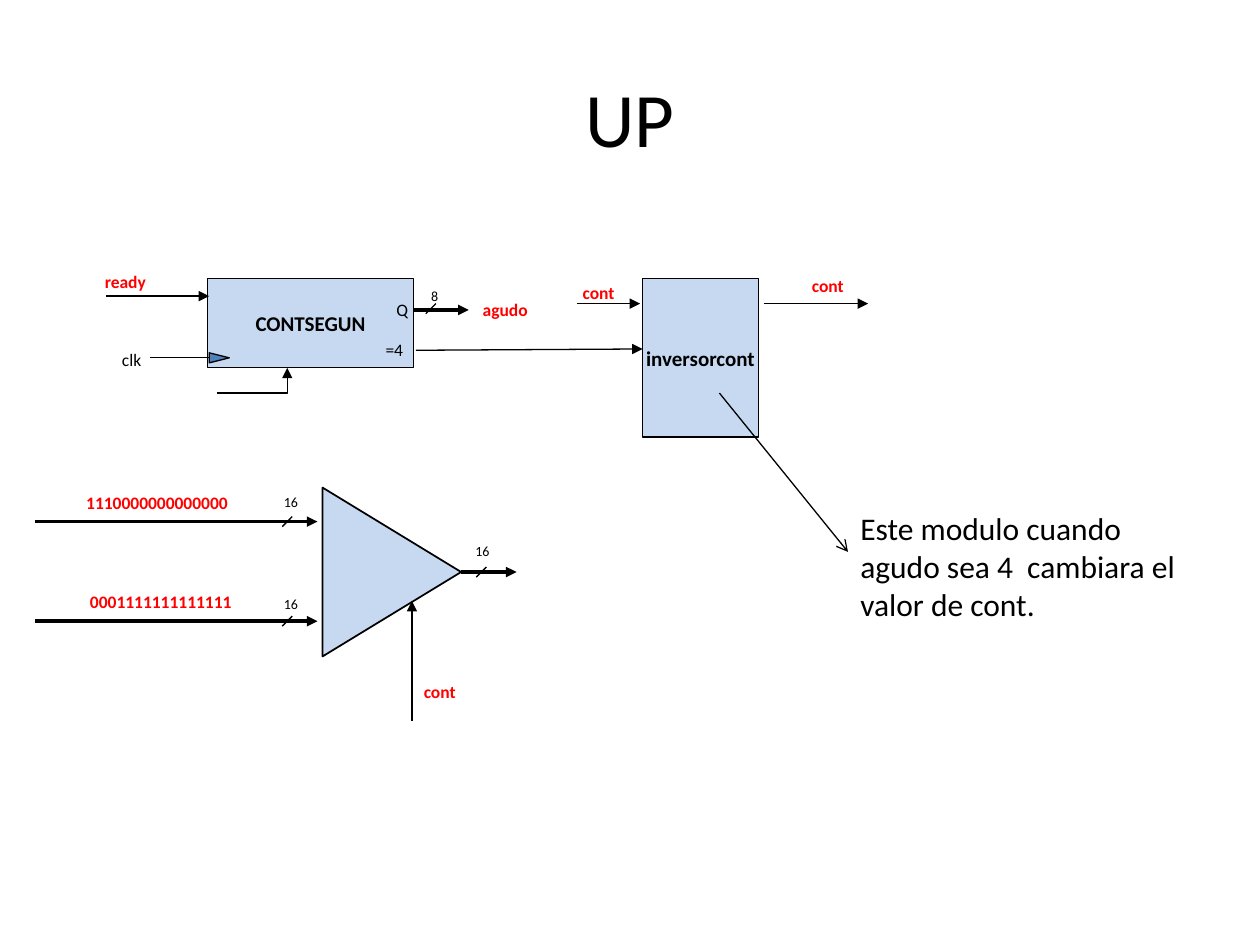
from pptx import Presentation
from pptx.dml.color import RGBColor
from pptx.enum.shapes import MSO_CONNECTOR, MSO_SHAPE
from pptx.enum.text import MSO_ANCHOR, PP_ALIGN
from pptx.oxml.ns import qn
from pptx.util import Inches, Pt
from lxml import etree

RECT, TRIANGLE = MSO_SHAPE.RECTANGLE, MSO_SHAPE.ISOSCELES_TRIANGLE
STRAIGHT, ELBOW = MSO_CONNECTOR.STRAIGHT, MSO_CONNECTOR.ELBOW
TOP, MIDDLE = MSO_ANCHOR.TOP, MSO_ANCHOR.MIDDLE
LEFT, CENTER, RIGHT = PP_ALIGN.LEFT, PP_ALIGN.CENTER, PP_ALIGN.RIGHT

FONT = "Calibri"
COLORS = {"ink": "000000", "signal": "FF0000", "block": "C6D9F1", "clock": "4F81BD"}
THIN, BUS = 0.75, 2
PAD = (0.1, 0.05, 0.1, 0.05)
PORT_PAD = (0.04, 0.05, 0.04, 0.05)
SIGNAL_PAD = (0, 0, 0.04, 0)
NO_PAD = (0, 0, 0, 0)

TITLE = ("UP", (0.5, 0.3, 9, 1.25))
NOTE = ("Este modulo cuando agudo sea 4  cambiara el valor de cont.", (6.73, 3.99, 2.76, 1.01))

BLOCKS = [
    (RECT, (1.65, 2.21, 1.63, 0.71), 0, "block", THIN, "CONTSEGUN"),
    (RECT, (5.1, 2.21, 0.92, 1.26), 0, "block", THIN, "inversorcont"),
    (TRIANGLE, (1.7, 2.76, 0.08, 0.16), 90, "clock", THIN, ""),
    (TRIANGLE, (2.44, 3.99, 1.34, 1.1), 90, "block", 1, ""),
]
WIRES = [
    ((1.19, 2.84), (1.67, 2.84), THIN, None),
    ((0.84, 2.35), (1.66, 2.35), THIN, "triangle"),
    ((3.3, 2.78), (5.1, 2.77), THIN, "triangle"),
    ((4.58, 2.41), (5.08, 2.41), THIN, "triangle"),
    ((6.06, 2.41), (6.89, 2.41), THIN, "triangle"),
    ((3.27, 5.72), (3.27, 4.77), THIN, "triangle"),
    ((5.71, 3.12), (6.73, 4.38), THIN, "arrow"),
]
BUSES = [
    (3.28, 3.72, 2.46, 3.42, 2.45, "8", (3.38, 2.28)),
    (3.66, 4.1, 4.54, 3.82, 4.54, "16", (3.76, 4.3)),
    (0.28, 2.52, 4.14, 2.28, 4.14, "16", (2.24, 3.91)),
    (0.28, 2.52, 4.93, 2.28, 4.93, "16", (2.24, 4.72)),
]
SLASH = 0.04
RESET_WIRE = ((1.72, 3.12), (2.28, 2.92))
PORTS = [("Q", 2.75, 2.3), ("=4", 2.71, 2.62)]
SIGNALS = [
    ("ready", 0.83, 2.15, 0.37),
    ("agudo", 3.83, 2.37, 0.4),
    ("cont", 4.62, 2.24, 0.3),
    ("cont", 6.44, 2.18, 0.3),
    ("cont", 3.36, 5.4, 0.3),
    ("1110000000000000", 0.67, 3.9, 1.19),
    ("0001111111111111", 0.35, 4.69, 1.89),
]

prs = Presentation()
prs.slide_width, prs.slide_height = Inches(10), Inches(7.5)
s = prs.slides.add_slide(prs.slide_layouts[6])


def rgb(name):
    return RGBColor.from_string(COLORS[name])


def write(text, box=None, sp=None, size=10, color="ink", bold=False,
          align=CENTER, anchor=MIDDLE, pad=PAD, wrap=False):
    sp = sp or s.shapes.add_textbox(*map(Inches, box))
    tf = sp.text_frame
    tf.word_wrap = wrap
    tf.vertical_anchor = anchor
    tf.margin_left, tf.margin_top, tf.margin_right, tf.margin_bottom = map(Inches, pad)
    p = tf.paragraphs[0]
    p.alignment = align
    r = p.add_run()
    r.text = text
    r.font.name, r.font.size, r.font.bold = FONT, Pt(size), bold
    r.font.color.rgb = rgb(color)


def add_block(kind, box, rotation, fill, width, text):
    sp = s.shapes.add_shape(kind, *map(Inches, box))
    sp.shadow.inherit = False
    sp.rotation = rotation
    sp.fill.solid()
    sp.fill.fore_color.rgb = rgb(fill)
    sp.line.color.rgb = rgb("ink")
    sp.line.width = Pt(width)
    if text:
        write(text, sp=sp, size=12, bold=True)


def add_wire(start, end, width=THIN, head=None, kind=STRAIGHT):
    c = s.shapes.add_connector(kind, *map(Inches, start + end))
    c.line.color.rgb = rgb("ink")
    c.line.width = Pt(width)
    props = c._element.spPr
    if head:
        etree.SubElement(props.find(qn("a:ln")), qn("a:tailEnd"), type=head)
    etree.SubElement(props, qn("a:effectLst"))
    return c


write(TITLE[0], TITLE[1], size=44, wrap=True)
for block in BLOCKS:
    add_block(*block)
for wire in WIRES:
    add_wire(*wire)

reset = add_wire(*RESET_WIRE, head="triangle", kind=ELBOW)
reset._element.spPr.find(qn("a:prstGeom")).set("prst", "bentConnector2")

for x1, x2, y, slash_x, slash_y, bits, (left, top) in BUSES:
    add_wire((x1, y), (x2, y), BUS, "triangle")
    add_wire((slash_x - SLASH, slash_y + SLASH), (slash_x + SLASH, slash_y - SLASH))
    write(bits, (left, top, 0.14, 0.14), size=8, pad=NO_PAD)

for text, left, top in PORTS:
    write(text, (left, top, 0.53, 0.31), align=RIGHT, pad=PORT_PAD)
write("clk", (0.96, 2.77, 0.17, 0.17), pad=NO_PAD)
for text, left, top, width in SIGNALS:
    write(text, (left, top, width, 0.17), color="signal", bold=True, pad=SIGNAL_PAD)
write(NOTE[0], NOTE[1], size=18, align=LEFT, anchor=TOP, wrap=True)

prs.save("out.pptx")
